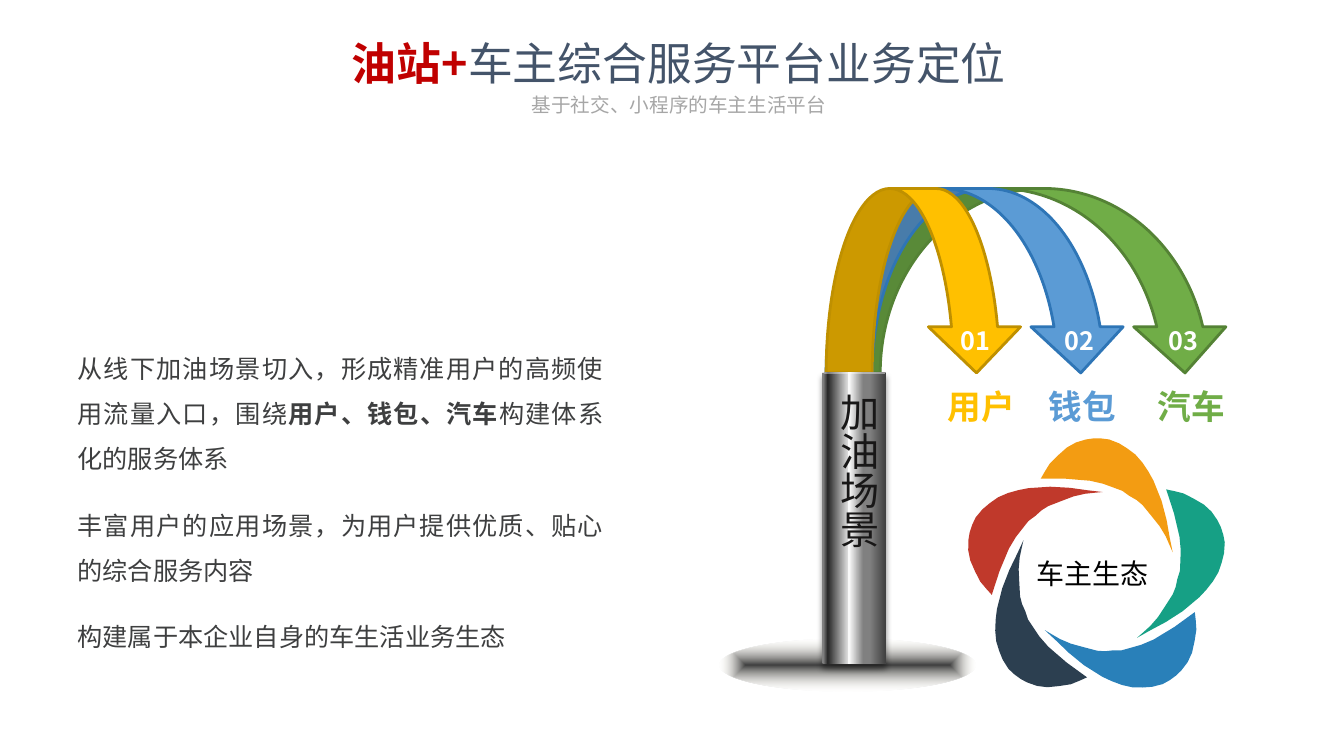
"""Build a slide on the positioning of a service platform for car owners."""
import math

import lxml.etree
import pptx
import pptx.dml.color
import pptx.enum.shapes
import pptx.enum.text
import pptx.oxml.ns
import pptx.util

COLUMNS, ROWS = 133.4, 75
CELL = pptx.util.Inches(0.1)
FONT = "Noto Sans CJK SC"
SHAPES = pptx.enum.shapes.MSO_SHAPE
ALIGN = pptx.enum.text.PP_ALIGN
ANCHOR = pptx.enum.text.MSO_ANCHOR
FIT = pptx.enum.text.MSO_AUTO_SIZE

INK = "3E3F40"
TITLE = [[("油站+", "C00000", True), ("车主综合服务平台业务定位", "44546A", False)]]
SUBTITLE = [[("基于社交、小程序的车主生活平台", "A6A6A6", False)]]
BODY = [
    [("从线下加油场景切入，形成精准用户的高频使用流量入口，围绕", INK, False),
     ("用户、钱包、汽车", INK, True),
     ("构建体系化的服务体系", INK, False)],
    [("丰富用户的应用场景，为用户提供优质、贴心的综合服务内容", INK, False)],
    [("构建属于本企业自身的车生活业务生态", INK, False)],
]
SOURCE = [[("加油场景", "181717", False)]]
HUB = [[("车主生态", "000000", False)]]

FLOWS = [
    ("用户", "FFC000", "BF9000", 82, 93.1),
    ("钱包", "5B9BD5", "2E75B6", 82, 103.1),
    ("汽车", "70AD47", "548235", 82.8, 113.9),
]
FLOW_TOP, FLOW_HEIGHT, FLOW_RIGHT, FLOW_STEP = 18.7, 18.3, 101.5, 10.35
NUMBER_LEFT, NUMBER_STEP = 94, 10.3

BASE_STOPS = [(0, "404040", 100), (100, "EEECE1", 0)]
PIPE_STOPS = [(2, "808080", 100), (9, "262626", 100), (40, "D9D9D9", 100),
              (42, "FFFFFF", 100), (65, "808080", 100), (75, "808080", 100),
              (100, "404040", 100)]

PETAL_COLOURS = ["F39C12", "16A085", "2980B9", "2C3F50", "C0392B"]
FLOWER_CENTRE = (108.8, 56.6)
PETAL = [
    (-5.5, -9.1), (-5.1, -9.8), (-4.6, -10.6), (-3.8, -11.4), (-2.9, -12.2),
    (-2, -12.7), (-1, -13), (-0.3, -13.1), (0.5, -13.1), (1.3, -13),
    (2.3, -12.6), (3.1, -12.1), (3.9, -11.5), (4.6, -10.7), (5.2, -9.8),
    (5.7, -8.9), (6.1, -7.9), (6.5, -6.9), (7, -5), (7.3, -3.3),
    (7.6, -1.8), (7.3, -2.5), (6.9, -3.4), (6.3, -4.4), (5.5, -5.4),
    (4.6, -6.5), (4, -7), (3.3, -7.4), (2.6, -7.9), (1.8, -8.2),
    (0.7, -8.6), (-0.6, -8.9), (-1.8, -9), (-3, -9.1), (-4.8, -9.1),
]


def grid(*cells):
    return [round(cell * CELL) for cell in cells]


def rgb(code):
    return pptx.dml.color.RGBColor.from_string(code)


def element(parent, tag, **attributes):
    child = lxml.etree.SubElement(parent, pptx.oxml.ns.qn(tag))
    for name, value in attributes.items():
        child.set(name, str(value))
    return child


def tint(parent, code, opacity):
    colour = element(parent, "a:srgbClr", val=code)
    if opacity < 100:
        element(colour, "a:alpha", val=opacity * 1000)


def write(box, paragraphs, size, align=None, spacing=None, after=None):
    frame = box.text_frame
    for index, runs in enumerate(paragraphs):
        para = frame.paragraphs[0] if index == 0 else frame.add_paragraph()
        para.alignment = align
        if spacing:
            para.line_spacing = spacing
        if after is not None:
            para.space_after = pptx.util.Pt(after)
        for text, colour, bold in runs:
            span = para.add_run()
            span.text = text
            span.font.size = pptx.util.Pt(size)
            span.font.bold = bold
            span.font.color.rgb = rgb(colour)
            span.font.name = FONT
            element(span.font._element, "a:ea", typeface=FONT)


def add_text(slide, place, paragraphs, size, align=None, spacing=None, after=None,
             wrap=True, fit=FIT.SHAPE_TO_FIT_TEXT):
    box = slide.shapes.add_textbox(*grid(*place))
    box.text_frame.word_wrap = wrap
    box.text_frame.auto_size = fit
    write(box, paragraphs, size, align, spacing, after)
    return box


def paint(shape, fill, edge=None):
    shape.shadow.inherit = False
    shape.fill.solid()
    shape.fill.fore_color.rgb = rgb(fill)
    if edge:
        shape.line.color.rgb = rgb(edge)
        shape.line.width = pptx.util.Pt(2)
    else:
        shape.line.fill.background()


def blend(shape, stops, radial):
    shape.shadow.inherit = False
    shape.line.fill.background()
    shape.fill.gradient()
    gradient = shape._element.spPr.find(pptx.oxml.ns.qn("a:gradFill"))
    for child in list(gradient):
        gradient.remove(child)
    stop_list = element(gradient, "a:gsLst")
    for position, colour, opacity in stops:
        tint(element(stop_list, "a:gs", pos=position * 1000), colour, opacity)
    if radial:
        path = element(gradient, "a:path", path="shape")
        element(path, "a:fillToRect", l=50000, t=50000, r=50000, b=50000)
    else:
        element(gradient, "a:lin", ang=0, scaled=0)


def add_heading(slide):
    title = slide.shapes.title
    title.left, title.top, title.width, title.height = grid(9.9, 1.9, 115, 7.6)
    title.text_frame.vertical_anchor = ANCHOR.BOTTOM
    title.text_frame.auto_size = FIT.NONE
    write(title, TITLE, 32, ALIGN.CENTER, 0.9)
    add_text(slide, (9.9, 9, 115, 5.5), SUBTITLE, 14, ALIGN.CENTER, 0.9, fit=FIT.NONE)


def add_fountain(slide):
    base = slide.shapes.add_shape(SHAPES.OVAL, *grid(71.4, 63.4, 25.4, 5.2))
    blend(base, BASE_STOPS, True)
    for index, (_, fill, edge, left, _) in reversed(list(enumerate(FLOWS))):
        width = FLOW_RIGHT + index * FLOW_STEP - left
        arrow = slide.shapes.add_shape(
            SHAPES.CURVED_DOWN_ARROW, *grid(left, FLOW_TOP, width, FLOW_HEIGHT))
        paint(arrow, fill, edge)
    pipe = slide.shapes.add_shape(SHAPES.CAN, *grid(81.6, 36.9, 6.3, 29))
    pipe.adjustments[0] = 0.03
    blend(pipe, PIPE_STOPS, False)
    effects = pipe._element.spPr.find(pptx.oxml.ns.qn("a:effectLst"))
    shadow = element(effects, "a:outerShdw", blurRad=pptx.util.Pt(4),
                     dist=pptx.util.Pt(3), dir=90 * 60000, rotWithShape=0)
    tint(shadow, "000000", 40)
    for index, (name, colour, _, _, label_left) in enumerate(FLOWS):
        add_text(slide, (NUMBER_LEFT + index * NUMBER_STEP, 31.8, 5.7, 4),
                 [[(f"{index + 1:02}", "FFFFFF", True)]], 18, ALIGN.CENTER)
        add_text(slide, (label_left, 37.8, 8.8, 5), [[(name, colour, True)]], 24, wrap=False)
    source = add_text(slide, (81.4, 38, 6.7, 18.3), SOURCE, 28)
    source.text_frame._txBody.bodyPr.set("vert", "eaVert")


def add_flower(slide):
    centre_x, centre_y = FLOWER_CENTRE
    for index, colour in enumerate(PETAL_COLOURS):
        turn = index * math.tau / len(PETAL_COLOURS)
        cos, sin = math.cos(turn), math.sin(turn)
        outline = [grid(centre_x + x * cos - y * sin, centre_y + x * sin + y * cos)
                   for x, y in PETAL]
        builder = slide.shapes.build_freeform(*outline[0])
        builder.add_line_segments(outline[1:], close=True)
        paint(builder.convert_to_shape(), colour)
    add_text(slide, (101.5, 54.7, 13.8, 4.4), HUB, 20, ALIGN.CENTER)


def main():
    deck = pptx.Presentation()
    deck.slide_width, deck.slide_height = grid(COLUMNS, ROWS)
    page = deck.slides.add_slide(deck.slide_layouts[5])
    add_heading(page)
    add_fountain(page)
    body = add_text(page, (7.7, 33.5, 52.2, 31.5), BODY, 18, ALIGN.JUSTIFY, 1.5, 15)
    frame = body.text_frame
    frame.margin_left = frame.margin_right = frame.margin_top = frame.margin_bottom = 0
    add_flower(page)
    deck.save("out.pptx")


if __name__ == "__main__":
    main()
